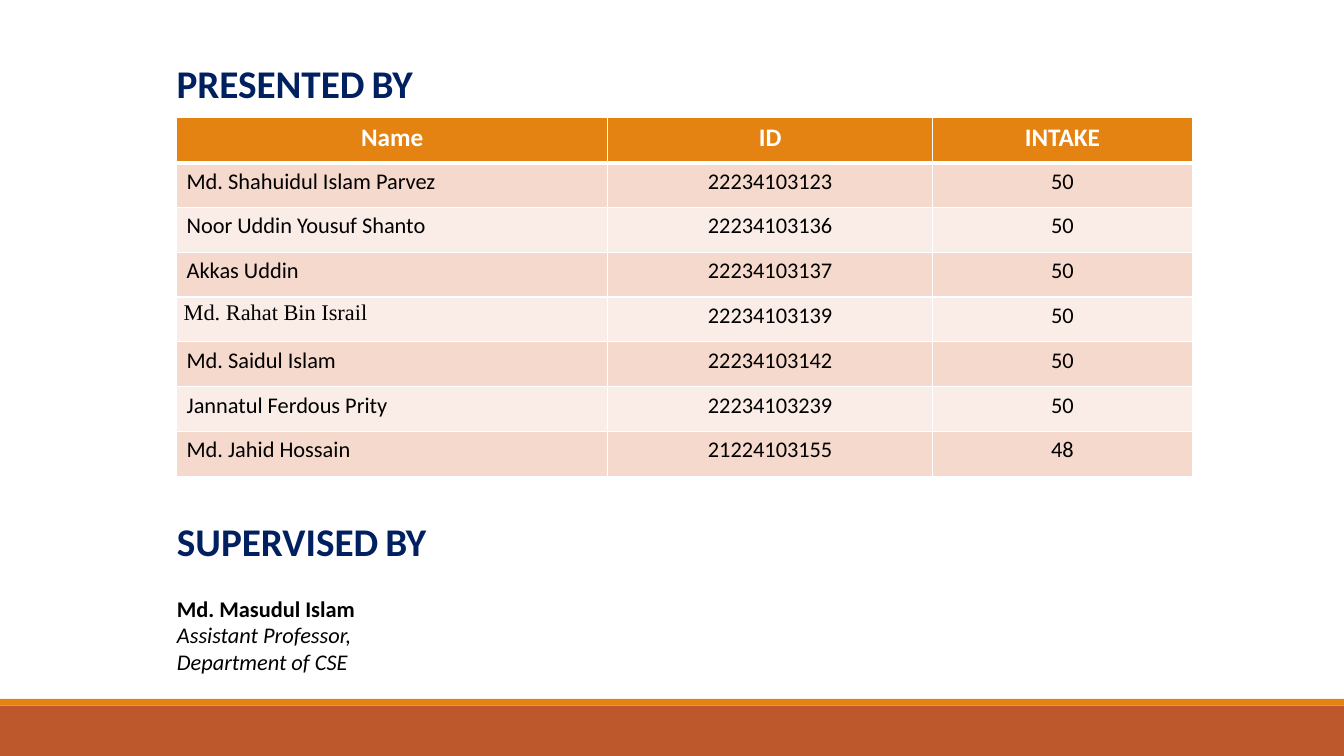
import pptx
import pptx.dml.color
import pptx.enum.shapes
import pptx.enum.text
import pptx.oxml
import pptx.oxml.ns
import pptx.util

Cm = pptx.util.Cm
Pt = pptx.util.Pt
ALIGN = pptx.enum.text.PP_ALIGN

COLOURS = {
    "navy": "002060",
    "black": "000000",
    "white": "FFFFFF",
    "orange": "E48312",
    "rust": "BD582C",
    "band_dark": "F5D9CC",
    "band_light": "FAEDE7",
}

HEADING = {"name": "Calibri", "size": Pt(28), "bold": True}
COLUMN_TITLE = {"name": "Calibri", "size": Pt(18), "bold": True}
BODY = {"name": "Calibri", "size": Pt(16), "bold": False}
SERIF = {**BODY, "name": "Times New Roman"}
STRONG = {**BODY, "bold": True}
SLANTED = {**BODY, "italic": True}

COLUMN_WIDTHS = (10.87, 8.18, 6.55)
TITLES = ("Name", "ID", "INTAKE")
PRESENTERS = (
    ("Md. Shahuidul Islam Parvez", "22234103123", "50"),
    ("Noor Uddin Yousuf Shanto", "22234103136", "50"),
    ("Akkas Uddin", "22234103137", "50"),
    ("Md. Rahat Bin Israil", "22234103139", "50"),
    ("Md. Saidul Islam", "22234103142", "50"),
    ("Jannatul Ferdous Prity", "22234103239", "50"),
    ("Md. Jahid Hossain", "21224103155", "48"),
)
SERIF_NAME = "Md. Rahat Bin Israil"


def colour(name):
    return pptx.dml.color.RGBColor.from_string(COLOURS[name])


def set_values(target, values):
    for attribute, value in values.items():
        setattr(target, attribute, value)


def write(para, text, font, ink, align=ALIGN.LEFT):
    para.alignment = align
    span = para.add_run()
    span.text = text
    set_values(span.font, font)
    span.font.color.rgb = colour(ink)
    return span


def write_heading(para, text, align):
    span = write(para, text, HEADING, "navy", align)
    span.font._element.set("cap", "small")


def add_text_frame(page, box):
    frame = page.shapes.add_textbox(*map(Cm, box)).text_frame
    frame.word_wrap = True
    return frame


def add_footer(page, box):
    left, top, width, height = box
    strip = 0.17
    bands = (("rust", top + strip, height - strip), ("orange", top, strip))
    for fill, band_top, band_height in bands:
        band = page.shapes.add_shape(
            pptx.enum.shapes.MSO_SHAPE.RECTANGLE,
            Cm(left), Cm(band_top), Cm(width), Cm(band_height))
        band.shadow.inherit = False
        band.fill.solid()
        band.fill.fore_color.rgb = colour(fill)
        band.line.fill.background()


def set_borders(cell, top, bottom):
    properties = cell._tc.get_or_add_tcPr()
    for tag, points in (("lnL", 1), ("lnR", 1), ("lnT", top), ("lnB", bottom)):
        properties.append(pptx.oxml.parse_xml(
            f'<a:{tag} {pptx.oxml.ns.nsdecls("a")} w="{Pt(points)}">'
            f'<a:solidFill><a:srgbClr val="{COLOURS["white"]}"/></a:solidFill>'
            f'</a:{tag}>'))


def fill_cell(cell, text, row, column):
    set_borders(cell, 3 if row == 1 else 1, 3 if row == 0 else 1)
    fill = "orange" if row == 0 else "band_dark" if row % 2 else "band_light"
    cell.fill.solid()
    cell.fill.fore_color.rgb = colour(fill)
    para = cell.text_frame.paragraphs[0]
    if row == 0:
        write(para, text, COLUMN_TITLE, "white", ALIGN.CENTER)
    elif text == SERIF_NAME:
        set_values(cell, {"margin_left": Cm(0.18), "margin_right": Cm(0.18),
                          "margin_top": 0, "margin_bottom": 0})
        para.line_spacing = 1.15
        write(para, text, SERIF, "black", ALIGN.JUSTIFY)
    else:
        align = ALIGN.CENTER if column else ALIGN.LEFT
        write(para, text, BODY, "black", align)


def add_presenters(page, box):
    rows = (TITLES, *PRESENTERS)
    table = page.shapes.add_table(len(rows), len(TITLES), *map(Cm, box)).table
    table.horz_banding = False
    for column, width in zip(table.columns, COLUMN_WIDTHS):
        column.width = Cm(width)
    for row_index, texts in enumerate(rows):
        table.rows[row_index].height = Cm(box[3] / len(rows))
        for column_index, text in enumerate(texts):
            cell = table.cell(row_index, column_index)
            fill_cell(cell, text, row_index, column_index)


def add_title(page, box):
    frame = add_text_frame(page, box)
    write_heading(frame.paragraphs[0], "PRESENTED BY", ALIGN.LEFT)


def add_supervisor(page, box):
    frame = add_text_frame(page, box)
    write_heading(frame.paragraphs[0], "SUPERVISED BY", ALIGN.JUSTIFY)
    lines = (("Md. Masudul Islam", STRONG, 22),
             ("Assistant Professor,", SLANTED, 0),
             ("Department of CSE", SLANTED, 0))
    for text, font, gap in lines:
        para = frame.add_paragraph()
        para.space_before = Pt(gap)
        write(para, text, font, "black", ALIGN.JUSTIFY)


def main():
    deck = pptx.Presentation()
    set_values(deck, {"slide_width": Cm(33.87), "slide_height": Cm(19.05)})
    page = deck.slides.add_slide(deck.slide_layouts[6])
    add_footer(page, (0, 17.61, 33.87, 1.44))
    add_title(page, (4.2, 1.38, 6.81, 1.45))
    add_presenters(page, (4.45, 2.97, sum(COLUMN_WIDTHS), 9.04))
    add_supervisor(page, (4.21, 12.9, 8.05, 5.05))
    deck.save("out.pptx")


if __name__ == "__main__":
    main()
